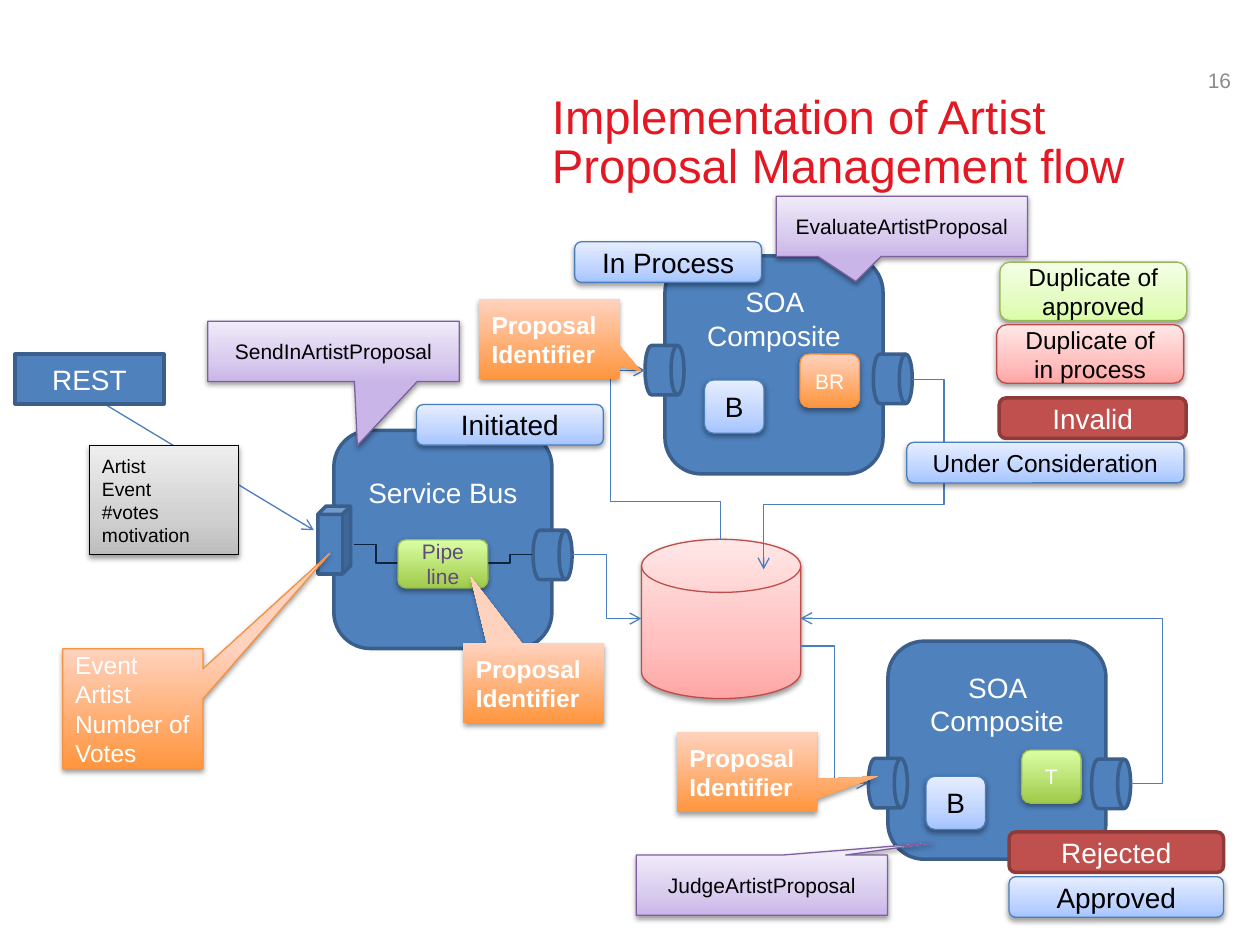
from dataclasses import dataclass
from typing import Optional

from lxml import etree
from pptx import Presentation
from pptx.dml.color import RGBColor
from pptx.enum.shapes import MSO_CONNECTOR, MSO_SHAPE
from pptx.enum.text import MSO_ANCHOR, MSO_AUTO_SIZE, PP_ALIGN
from pptx.oxml.ns import qn
from pptx.util import Pt

RECT, ROUND = MSO_SHAPE.RECTANGLE, MSO_SHAPE.ROUNDED_RECTANGLE
CALLOUT, CUBE = MSO_SHAPE.RECTANGULAR_CALLOUT, MSO_SHAPE.CUBE
DISK = MSO_SHAPE.FLOWCHART_MAGNETIC_DISK
DRUM = MSO_SHAPE.FLOWCHART_DIRECT_ACCESS_STORAGE
STRAIGHT, ELBOW = MSO_CONNECTOR.STRAIGHT, MSO_CONNECTOR.ELBOW
LEFT, CENTER, RIGHT = PP_ALIGN.LEFT, PP_ALIGN.CENTER, PP_ALIGN.RIGHT
MIDDLE, TOP = MSO_ANCHOR.MIDDLE, MSO_ANCHOR.TOP
FONT = "Arial"
BLUE, NAVY = "4B7EBC", "0F243E"


@dataclass(frozen=True)
class Style:
    """One colour makes a solid fill, several (bottom to top) a shaded gradient."""
    fill: tuple[str, ...]
    line: Optional[str]
    text: str = "000000"
    width: float = 0.75


@dataclass(frozen=True)
class Box:
    kind: MSO_SHAPE
    style: Style
    at: tuple[float, float, float, float]
    text: str = ""
    size: float = 16
    align: PP_ALIGN = CENTER
    bold: bool = False
    tip: tuple[float, ...] = ()
    top: Optional[float] = None  # top inset; None centres the text


@dataclass(frozen=True)
class Link:
    start: tuple[float, float]
    end: tuple[float, float]
    kind: MSO_CONNECTOR = ELBOW
    color: str = BLUE
    arrow: bool = True
    bends: tuple[float, ...] = ()
    rotation: int = 0


SOLID = Style(("4F81BD",), "3A5F8C", "FFFFFF", 2)
STOPPED = Style(("C0504D",), "8E3B39", "FFFFFF", 2)
SKY = Style(("A4C4FF", "BFD4FF", "E6EEFF"), BLUE)
PINK = Style(("FFA6A5", "FFC0BF", "FFE7E7"), "BF4C48")
LILAC = Style(("C9B5E8", "D8CBEE", "F0EAF9"), "7D60A0")
LIME = Style(("DAFDA7", "E4FCC2", "F5FFE7"), "98B955")
GREY = Style(("BDBDBD", "D1D1D1", "EEEEEE"), "000000")
GREEN = Style(("A0CA4A", "DAFFA5"), "98B955", "FFFFFF")
PIPE = Style(GREEN.fill, GREEN.line, "604A7B")
ORANGE = Style(("FF953E", "FFD2BD"), "F69240", "FFFFFF")
ORANGE_BARE = Style(ORANGE.fill, None, "FFFFFF")


def system(x: float, y: float, text: str, top: float) -> Box:
    return Box(ROUND, SOLID, (x, y, 124.6, 124.6), text, top=top)


def tile(x: float, y: float, style: Style, text: str, size: float) -> Box:
    return Box(ROUND, style, (x, y, 34, 30.4), text, size)


def state(x: float, y: float, style: Style, text: str, w: float = 106.8,
          h: float = 23.2, size: float = 16) -> Box:
    return Box(ROUND, style, (x, y, w, h), text, size)


def operation(x: float, y: float, text: str, *tip: float) -> Box:
    return Box(CALLOUT, LILAC, (x, y, 143.6, 34.4), text, 12, tip=tip)


def identifier(x: float, y: float, *tip: float) -> Box:
    return Box(CALLOUT, ORANGE_BARE, (x, y, 80.2, 45.8), "Proposal Identifier",
               14, LEFT, True, tip)


DRUMS = [(304.6, 303), (368.6, 197.4), (496.2, 433.4), (499, 202.4), (623.8, 433.8)]

SYSTEMS = [
    system(190.8, 246, "Service Bus", 19.5),
    system(380, 146.2, "SOA Composite", 10.5),
    system(507.4, 366.4, "SOA Composite", 10.5),
    Box(DISK, PINK, (366.6, 308.2, 91, 91)),
    *(Box(DRUM, SOLID, (x, y, 22.3, 28.2)) for x, y in DRUMS),
]

LINKS = [
    Link((327, 317), (366.5, 353.5)),
    Link((342, 281.5), (438.5, 238.3), bends=(0.225, 1.458), rotation=270),
    Link((457.4, 369.2), (496.2, 447.4)),
    Link((202.3, 311), (227.5, 321.8), color=NAVY, arrow=False),
    Link((278.6, 321.8), (304.2, 317), color=NAVY, arrow=False),
    Link((521.4, 216.8), (436.4, 325.4), bends=(-0.212, 0.658)),
    Link((646.4, 447.8), (457.4, 353.4), bends=(-0.095,)),
    Link((60, 231), (179.4, 303), STRAIGHT),
]

DETAILS = [
    operation(118.8, 183.6, "SendInArtistProposal", 0.095, 1.561),
    operation(443.6, 112.2, "EvaluateArtistProposal", -0.183, 0.915),
    operation(363.6, 488.6, "JudgeArtistProposal", 0.678, -0.7),
    Box(ROUND, PIPE, (227.4, 308.4, 51.4, 27.6), "Pipe\nline", 12),
    tile(402.6, 217.2, SKY, "B", 16),
    tile(457.2, 202.4, ORANGE, "BR", 12),
    tile(529.2, 443.6, SKY, "B", 16),
    tile(583.8, 428.6, GREEN, "T", 12),
    Box(RECT, SOLID, (8.6, 202.4, 85, 28.4), "REST"),
    Box(CUBE, SOLID, (181.6, 289.2, 18.8, 38.8)),
    Box(RECT, GREY, (51.2, 254.6, 85, 62.4), "Artist\nEvent\n#votes\nmotivation", 11, LEFT),
    state(238, 231.2, SKY, "Initiated"),
    state(571.4, 149.8, LIME, "Duplicate of approved", h=33.4, size=14),
    state(571, 227.4, STOPPED, "Invalid"),
    state(518.2, 252.8, SKY, "Under Consideration", w=158.4, size=14),
    state(576.6, 475.4, STOPPED, "Rejected", w=122.6),
    state(576.6, 501, SKY, "Approved", w=122.6),
    state(328.4, 138.2, SKY, "In Process"),
    state(569.6, 185.6, PINK, "Duplicate of\nin process", h=33.4, size=14),
    Box(CALLOUT, ORANGE, (35.8, 370.8, 80.2, 68.6), "Event\nArtist\nNumber of Votes",
        14, LEFT, tip=(1.404, -1.296)),
    identifier(264.8, 367.6, -0.449, -1.332),
    identifier(273.8, 171, 0.656, 0.401),
    identifier(386.8, 418.4, 0.93, 0.052),
]


def rgb(color: str) -> RGBColor:
    return RGBColor.from_string(color)


def child(parent, tag: str, **attrs):
    return etree.SubElement(parent, qn(tag), {k: str(v) for k, v in attrs.items()})


def write(tf, text: str, size: float, color: str, align: PP_ALIGN, bold: bool = False) -> None:
    tf.word_wrap = True
    tf.text = text
    for p in tf.paragraphs:
        p.alignment = align
        for r in p.runs:
            r.font.name, r.font.size, r.font.bold = FONT, Pt(size), bold
            r.font.color.rgb = rgb(color)


def shade(sp, colors: tuple[str, ...]) -> None:
    """Give the shape a vertical gradient and a soft shadow."""
    sp.fill.gradient()
    sp.fill.gradient_angle = 90
    stops = sp._element.spPr.find(".//" + qn("a:gsLst"))
    for stop in list(stops):
        stops.remove(stop)
    positions = (0, 35, 100) if len(colors) == 3 else (0, 100)
    for pos, color in zip(positions, colors):
        child(child(stops, "a:gs", pos=pos * 1000), "a:srgbClr", val=color)
    shadow = child(sp._element.spPr.find(qn("a:effectLst")), "a:outerShdw",
                   blurRad=Pt(3.1), dist=Pt(1.6), dir=5400000, rotWithShape=0)
    child(child(shadow, "a:srgbClr", val="000000"), "a:alpha", val=38000)


def draw_box(s, box: Box) -> None:
    sp = s.shapes.add_shape(box.kind, *map(Pt, box.at))
    style = box.style
    sp.shadow.inherit = False
    if len(style.fill) > 1:
        shade(sp, style.fill)
    else:
        sp.fill.solid()
        sp.fill.fore_color.rgb = rgb(style.fill[0])
    if style.line:
        sp.line.color.rgb = rgb(style.line)
        sp.line.width = Pt(style.width)
    else:
        sp.line.fill.background()
    for i, value in enumerate(box.tip):
        sp.adjustments[i] = value
    if box.text:
        tf = sp.text_frame
        write(tf, box.text, box.size, style.text, box.align, box.bold)
        tf.vertical_anchor = MIDDLE if box.top is None else TOP
        if box.top is not None:
            tf.margin_top = Pt(box.top)


def draw_link(s, link: Link) -> None:
    cx = s.shapes.add_connector(link.kind, *map(Pt, link.start + link.end))
    cx.line.color.rgb = rgb(link.color)
    cx.line.width = Pt(0.75)
    if link.arrow:
        child(cx.line._get_or_add_ln(), "a:tailEnd", type="arrow")
    spPr = cx._element.spPr
    child(spPr, "a:effectLst")
    if link.rotation:
        spPr.find(qn("a:xfrm")).set("rot", str(link.rotation * 60000))
    if link.bends:
        geom = spPr.find(qn("a:prstGeom"))
        geom.set("prst", f"bentConnector{len(link.bends) + 2}")
        guides = geom.find(qn("a:avLst"))
        for i, bend in enumerate(link.bends, 1):
            child(guides, "a:gd", name=f"adj{i}", fmla=f"val {round(bend * 100000)}")


def draw_title(s) -> None:
    title = s.shapes.title
    title.left, title.top, title.width, title.height = map(Pt, (315.4, 43.2, 378.6, 77.8))
    tf = title.text_frame
    write(tf, "Implementation of Artist Proposal Management flow", 27, "E31823", LEFT)
    tf.auto_size, tf.vertical_anchor = MSO_AUTO_SIZE.NONE, MIDDLE
    tf.margin_left = tf.margin_right = tf.margin_top = tf.margin_bottom = 0
    tf.paragraphs[0].line_spacing = Pt(28)


def main() -> None:
    prs = Presentation()
    prs.slide_width, prs.slide_height = Pt(720), Pt(540)
    s = prs.slides.add_slide(prs.slide_layouts[5])
    number = s.shapes.add_textbox(*map(Pt, (638, 26, 72.6, 39.6)))
    write(number.text_frame, "16", 12, "8C8C8C", RIGHT)
    number.text_frame.vertical_anchor = MIDDLE
    draw_title(s)
    for box in SYSTEMS:
        draw_box(s, box)
    for link in LINKS:
        draw_link(s, link)
    for box in DETAILS:
        draw_box(s, box)
    prs.save("out.pptx")


if __name__ == "__main__":
    main()
